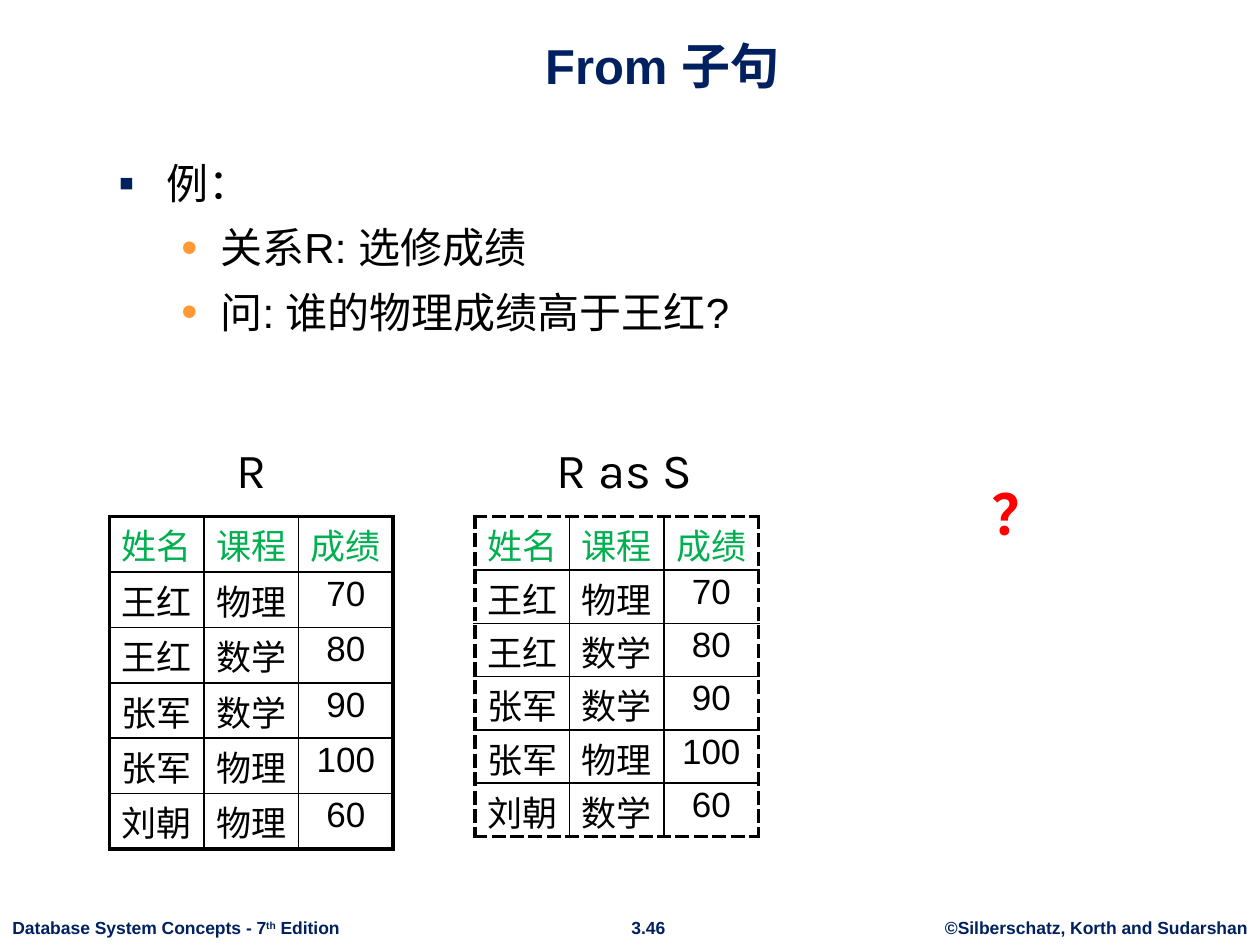
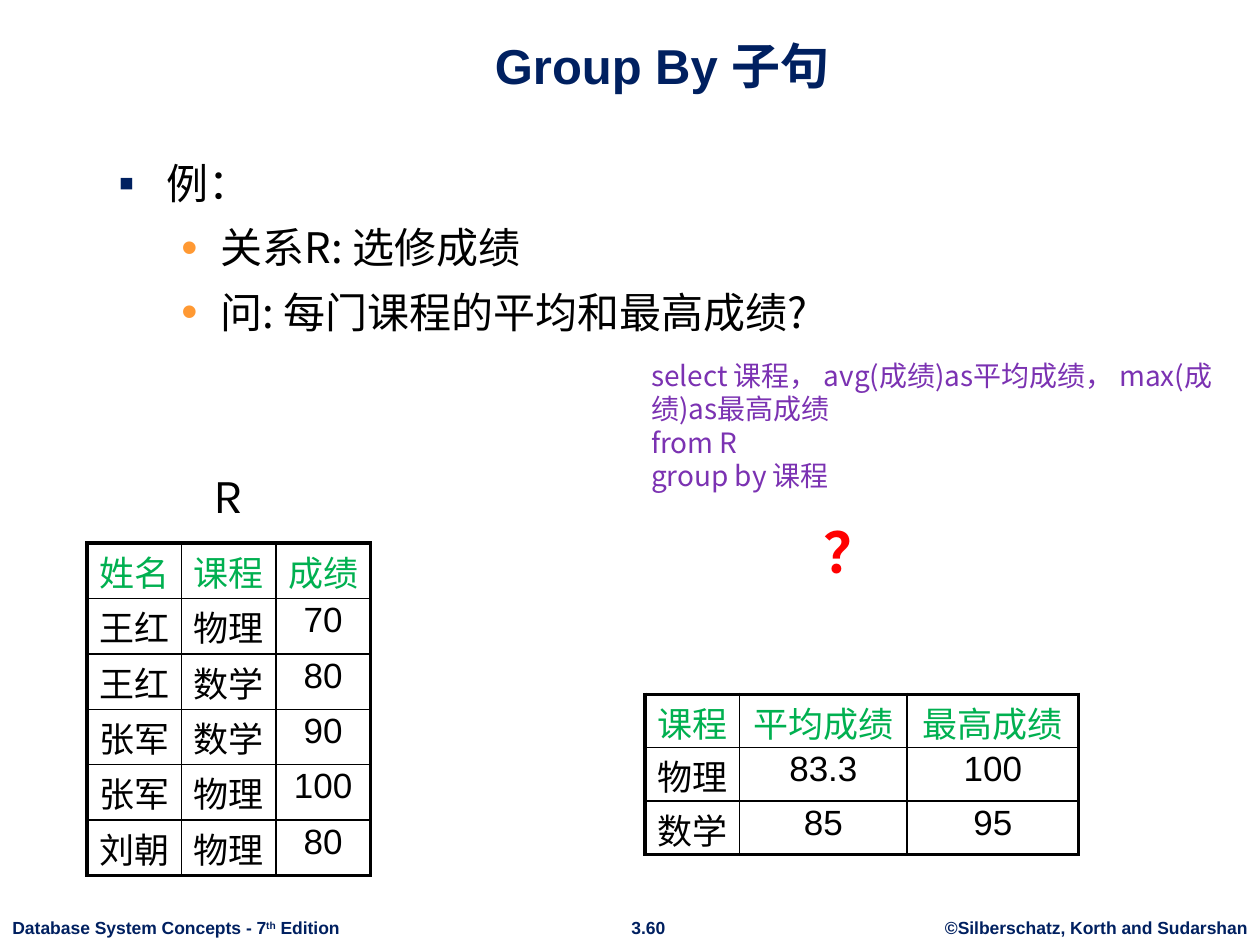
from dataclasses import dataclass
from typing import Optional

from lxml.etree import SubElement
from pptx import Presentation
from pptx.dml.color import RGBColor
from pptx.enum.text import MSO_ANCHOR, MSO_AUTO_SIZE, PP_ALIGN
from pptx.oxml.ns import qn
from pptx.util import Inches, Pt

COLOURS = {
    "navy": "002060",
    "orange": "FF9933",
    "black": "000000",
    "white": "FFFFFF",
    "green": "00B050",
    "red": "FF0000",
    "purple": "7B32B2",
}
CHINESE_FONT = "Noto Sans CJK SC"
HEADER = ("姓名", "课程", "成绩")
SCORES = (
    HEADER,
    ("王红", "物理", "70"),
    ("王红", "数学", "80"),
    ("张军", "数学", "90"),
    ("张军", "物理", "100"),
)
SCORE_WIDTHS = (0.75, 0.75, 0.75)


@dataclass(frozen=True)
class Style:
    size: float
    colour: str = "black"
    font: str = "Arial"
    bold: bool = False


@dataclass(frozen=True)
class Label:
    text: str
    left: float
    top: float
    width: float
    height: float
    style: Style
    align: PP_ALIGN = PP_ALIGN.CENTER
    wrap: bool = True
    line_spacing: Optional[float] = None


@dataclass(frozen=True)
class Grid:
    left: float
    top: float
    widths: tuple
    rows: tuple
    row_height: float = 0.41
    dash: str = "solid"


@dataclass(frozen=True)
class Page:
    title: str
    number: str
    bullets: tuple
    body_font: str
    grids: tuple
    labels: tuple


TITLE = Style(28, "navy", bold=True)
FOOTER = Style(10, "navy", bold=True)
RELATION = Style(28, font="Karla")
QUESTION = Style(32, "red", "Karla", True)
QUERY = Style(16, "purple", CHINESE_FONT)


def format_runs(paragraph, style: Style) -> None:
    for run in paragraph.runs:
        font = run.font
        font.size = Pt(style.size)
        font.name = style.font
        font.bold = style.bold
        font.color.rgb = RGBColor.from_string(COLOURS[style.colour])
        SubElement(font._element, qn("a:ea"), typeface=CHINESE_FONT)


def add_label(slide, label: Label):
    box = slide.shapes.add_textbox(
        Inches(label.left), Inches(label.top), Inches(label.width), Inches(label.height)
    )
    frame = box.text_frame
    frame.word_wrap = label.wrap
    frame.text = label.text
    for paragraph in frame.paragraphs:
        paragraph.alignment = label.align
        paragraph.line_spacing = label.line_spacing
        format_runs(paragraph, label.style)
    return box


def add_footers(slide, layout) -> None:
    """Draw the shared footers and hand them over to the layout."""
    copyright_line = add_label(slide, Label(
        "©Silberschatz, Korth and Sudarshan", 7.4, 7.23, 2.6, 0.27, FOOTER, wrap=False))
    edition = add_label(slide, Label(
        "Database System Concepts - 7", 0, 7.23, 2.81, 0.27, FOOTER,
        PP_ALIGN.LEFT, wrap=False))
    paragraph = edition.text_frame.paragraphs[0]
    for text in ("th", " Edition"):
        paragraph.add_run().text = text
    format_runs(paragraph, FOOTER)
    paragraph.runs[1].font._element.set("baseline", "30000")
    for box in (copyright_line, edition):
        layout.shapes._spTree.append(box._element)


def place(shape, left: float, top: float, width: float, height: float) -> None:
    shape.left, shape.top = Inches(left), Inches(top)
    shape.width, shape.height = Inches(width), Inches(height)


def add_bullet(paragraph, level: int) -> None:
    symbol, colour, margin, hanging = (
        ("▪", "navy", 0.38, 0.38), ("•", "orange", 0.81, 0.31))[level]
    paragraph.level = level
    properties = paragraph._p.get_or_add_pPr()
    properties.set("marL", str(Inches(margin)))
    properties.set("indent", str(-Inches(hanging)))
    bullet_colour = SubElement(properties, qn("a:buClr"))
    SubElement(bullet_colour, qn("a:srgbClr"), val=COLOURS[colour])
    SubElement(properties, qn("a:buSzPct"), val="110000")
    SubElement(properties, qn("a:buFont"), typeface="Arial")
    SubElement(properties, qn("a:buChar"), char=symbol)


def fill_body(body, bullets: tuple, font: str) -> None:
    frame = body.text_frame
    frame.text = "\n".join(bullets)
    frame.auto_size = MSO_AUTO_SIZE.NONE
    for index, paragraph in enumerate(frame.paragraphs):
        add_bullet(paragraph, min(index, 1))
        paragraph.space_before = Pt(8.4 if index else 0)
        paragraph.line_spacing = Pt(28.6)
        format_runs(paragraph, Style(24, font=font))


def set_border(cell, side: str, outer: bool, dash: str) -> None:
    line = SubElement(cell._tc.get_or_add_tcPr(), qn(f"a:ln{side}"),
                      w=str(Pt(2.25 if outer else 1)))
    fill = SubElement(line, qn("a:solidFill"))
    SubElement(fill, qn("a:srgbClr"), val=COLOURS["black"])
    SubElement(line, qn("a:prstDash"), val=dash if outer else "solid")


def add_grid(slide, grid: Grid) -> None:
    row_count, column_count = len(grid.rows), len(grid.widths)
    table = slide.shapes.add_table(
        row_count, column_count, Inches(grid.left), Inches(grid.top),
        Inches(sum(grid.widths)), Inches(grid.row_height * row_count)).table
    table.first_row = table.horz_banding = False
    for column, width in zip(table.columns, grid.widths):
        column.width = Inches(width)
    for row_index, values in enumerate(grid.rows):
        table.rows[row_index].height = Inches(grid.row_height)
        for column_index, value in enumerate(values):
            cell = table.cell(row_index, column_index)
            cell.text = value
            cell.margin_left = cell.margin_right = Inches(0.04)
            cell.margin_top = Inches(0.02)
            cell.margin_bottom = Inches(0)
            paragraph = cell.text_frame.paragraphs[0]
            paragraph.alignment = PP_ALIGN.CENTER
            format_runs(paragraph, Style(20, "black" if row_index else "green"))
            # Only the frame around the table is thick
            set_border(cell, "L", column_index == 0, grid.dash)
            set_border(cell, "R", column_index == column_count - 1, grid.dash)
            set_border(cell, "T", row_index == 0, grid.dash)
            set_border(cell, "B", row_index == row_count - 1, grid.dash)
            cell.fill.solid()
            cell.fill.fore_color.rgb = RGBColor.from_string(COLOURS["white"])


def add_page(presentation, layout, page: Page):
    slide = presentation.slides.add_slide(layout)
    title, body = slide.placeholders[0], slide.placeholders[1]
    title.text_frame.text = page.title
    title.text_frame.vertical_anchor = MSO_ANCHOR.BOTTOM
    title.text_frame.paragraphs[0].alignment = PP_ALIGN.CENTER
    format_runs(title.text_frame.paragraphs[0], TITLE)
    fill_body(body, page.bullets, page.body_font)
    for grid in page.grids:
        add_grid(slide, grid)
    number = Label(page.number, 4.9, 7.23, 0.49, 0.27, FOOTER, wrap=False)
    for label in (*page.labels, number):
        add_label(slide, label)
    return slide


PAGES = (
    Page(
        "From 子句", "3.46",
        ("例：", "关系R: 选修成绩", "问: 谁的物理成绩高于王红?"), "Arial",
        (
            Grid(0.87, 4.1, SCORE_WIDTHS, (*SCORES, ("刘朝", "物理", "60")), 0.44),
            Grid(3.77, 4.1, SCORE_WIDTHS, (*SCORES, ("刘朝", "数学", "60")),
                 dash="lgDash"),
        ),
        (
            Label("R", 1.37, 3.44, 1.25, 0.57, RELATION),
            Label("R as S", 4.19, 3.44, 1.53, 0.57, RELATION),
            Label("？", 7.77, 3.68, 0.65, 0.65, QUESTION, wrap=False, line_spacing=1.15),
        ),
    ),
    Page(
        "Group By 子句", "3.60",
        ("例：", "关系R: 选修成绩", "问: 每门课程的平均和最高成绩?"), CHINESE_FONT,
        (
            Grid(0.69, 4.31, SCORE_WIDTHS, (*SCORES, ("刘朝", "物理", "80")), 0.44),
            Grid(5.12, 5.51, (0.75, 1.33, 1.36), (
                ("课程", "平均成绩", "最高成绩"),
                ("物理", "83.3", "100"),
                ("数学", "85", "95"),
            )),
        ),
        (
            Label("R", 1.19, 3.64, 1.25, 0.57, RELATION),
            Label("？", 6.43, 3.98, 0.65, 0.65, QUESTION, wrap=False, line_spacing=1.15),
            Label("select 课程， avg(成绩)as平均成绩， max(成绩)as最高成绩\n"
                  "from R\ngroup by 课程",
                  5.07, 2.8, 5.01, 1.98, QUERY, PP_ALIGN.LEFT, line_spacing=Pt(19)),
        ),
    ),
)


def main() -> None:
    presentation = Presentation()
    presentation.slide_width, presentation.slide_height = Inches(10), Inches(7.5)
    # Shared title and list positions
    layout = presentation.slide_layouts[1]
    place(layout.placeholders[0], 0.84, 0.13, 8.83, 0.67)
    place(layout.placeholders[1], 0.84, 1.2, 8.43, 5.36)
    slides = [add_page(presentation, layout, page) for page in PAGES]
    add_footers(slides[0], layout)
    presentation.save("out.pptx")


if __name__ == "__main__":
    main()
